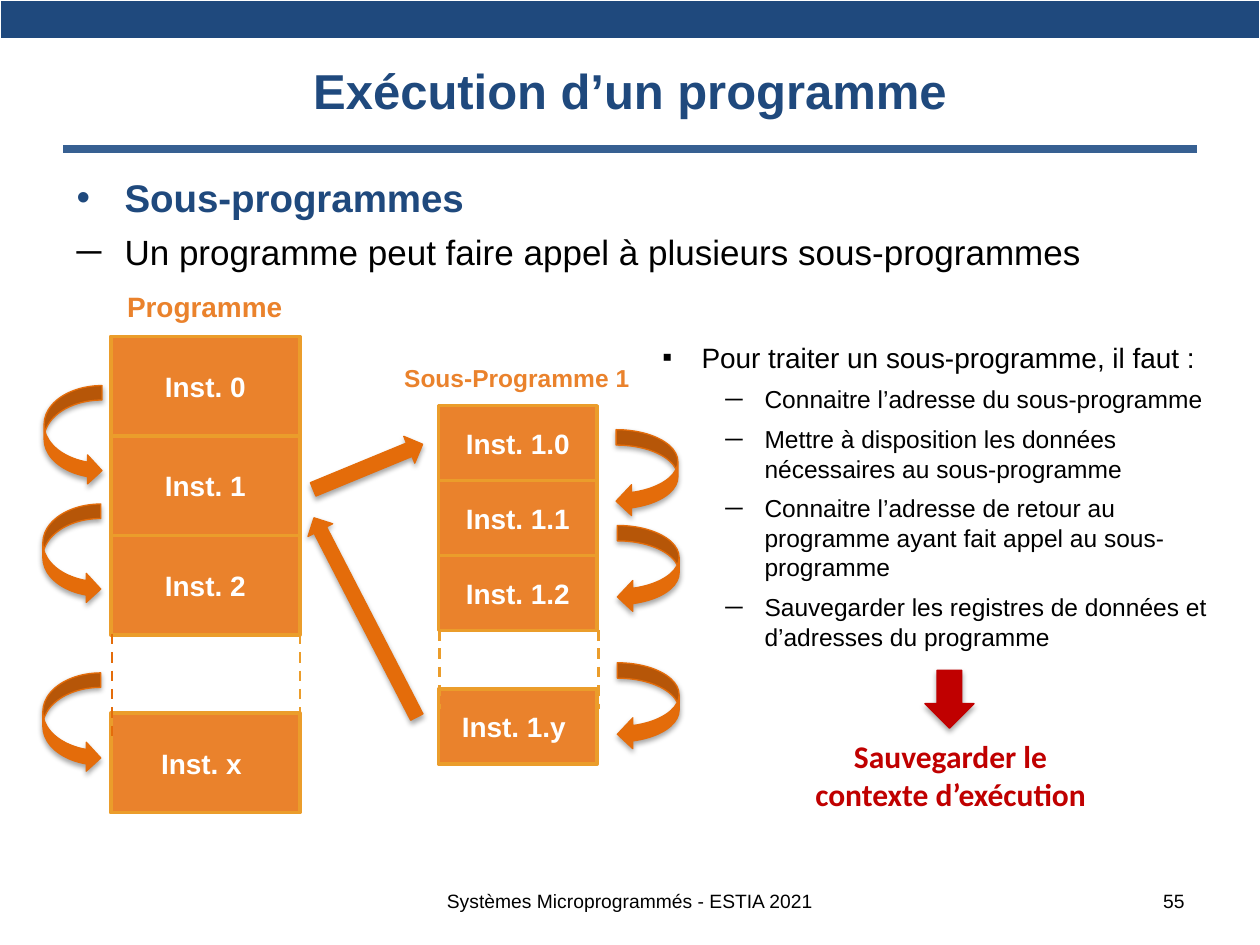
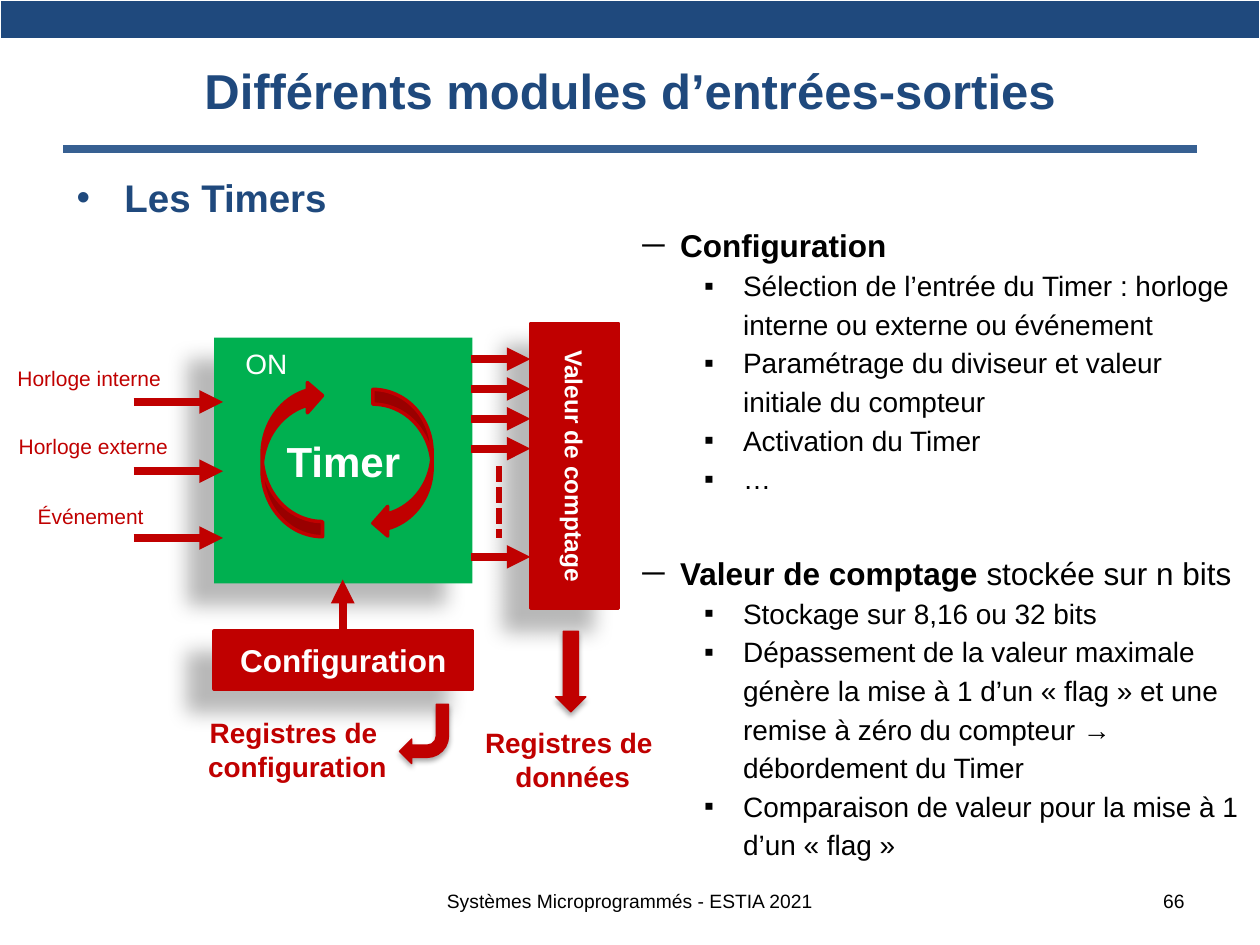
from dataclasses import dataclass

from lxml import etree
from pptx import Presentation
from pptx.dml.color import RGBColor
from pptx.enum.dml import MSO_LINE
from pptx.enum.shapes import MSO_CONNECTOR, MSO_SHAPE
from pptx.enum.text import MSO_ANCHOR, PP_ALIGN
from pptx.oxml.ns import qn
from pptx.util import Inches, Pt

LEFT, CENTER, RIGHT = PP_ALIGN.LEFT, PP_ALIGN.CENTER, PP_ALIGN.RIGHT
TOP, MIDDLE = MSO_ANCHOR.TOP, MSO_ANCHOR.MIDDLE
RECTANGLE = MSO_SHAPE.RECTANGLE
RIGHT_ARROW, DOWN_ARROW = MSO_SHAPE.RIGHT_ARROW, MSO_SHAPE.DOWN_ARROW
BENT_ARROW = MSO_SHAPE.BENT_ARROW
CURVED_RIGHT, CURVED_LEFT = MSO_SHAPE.CURVED_RIGHT_ARROW, MSO_SHAPE.CURVED_LEFT_ARROW
STRAIGHT = MSO_CONNECTOR.STRAIGHT
DASH, SHORT_DASH = MSO_LINE.DASH, MSO_LINE.SQUARE_DOT

COLUMNS, ROWS = 100, 75


@dataclass(frozen=True)
class Theme:
    """Colours, fonts, type sizes and shadows of the deck."""
    navy: str = "1F497D"
    rule: str = "376092"
    black: str = "000000"
    white: str = "FFFFFF"
    orange: str = "EA822C"
    amber: str = "EB9D2B"
    flame: str = "E46C0A"
    red: str = "C00000"
    green: str = "00B050"
    font: str = "Arial"
    accent_font: str = "Calibri"
    title: int = 28
    heading: int = 22
    timer: int = 24
    lead: int = 20
    large: int = 18
    body: int = 16
    small: int = 14
    tiny: int = 12
    footer: int = 11
    soft_shadow: tuple = (35, 3.1, 1.8, 90)
    deep_shadow: tuple = (28, 11.8, 19.7, 141)


@dataclass(frozen=True)
class Bullet:
    """Marker, indent in columns and type of a list level."""
    mark: str
    left: float
    hang: float
    size: int
    bold: bool = False
    colour: str = Theme.black
    before: float = 6


THEME = Theme()
HEADING = Bullet("•", 3.8, 3.8, THEME.heading, True, THEME.navy)
LEAD = Bullet("─", 3.8, 3.8, THEME.lead)
NEED = Bullet("▪", 3.1, 3.1, THEME.body)
STEP = Bullet("─", 8.1, 3.1, THEME.small)
TOPIC = Bullet("─", 3, 3.1, THEME.large, True)
NEXT_TOPIC = Bullet("─", 3, 3.1, THEME.large, True, before=30)
DETAIL = Bullet("▪", 8, 3.1, THEME.body, before=0)


class Painter:
    """Draws themed elements on the current slide, in grid columns and rows."""

    def __init__(self, deck, theme):
        self.deck, self.theme, self.page = deck, theme, None
        self.column = deck.slide_width / COLUMNS
        self.row = deck.slide_height / ROWS

    def place(self, left, top, width, height):
        """Turn grid units into slide lengths."""
        return (round(left * self.column), round(top * self.row),
                round(width * self.column), round(height * self.row))

    def start(self, title, number):
        """Open a slide with its band, title, rule and footer."""
        theme = self.theme
        self.page = self.deck.slides.add_slide(self.deck.slide_layouts[6])
        self.line((5, 11.8), (95, 11.8), theme.rule, 4.5)
        self.band()
        self.text((5, 1.7, 90, 10.8), [title], theme.title, theme.navy, True, CENTER, MIDDLE)
        self.text((28.3, 69.5, 43.4, 4), ["Systèmes Microprogrammés - ESTIA 2021"],
                  theme.footer, theme.black, align=CENTER, anchor=MIDDLE)
        self.text((71.7, 69.5, 23.3, 4), [str(number)],
                  theme.footer, theme.black, align=RIGHT, anchor=MIDDLE)

    def band(self):
        """Draw the one-cell table along the top edge."""
        cell = self.page.shapes.add_table(1, 1, *self.place(0, 0, COLUMNS, 3.1)).table.cell(0, 0)
        cell.fill.solid()
        cell.fill.fore_color.rgb = RGBColor.from_string(self.theme.navy)
        cell.text_frame.paragraphs[0].font.size = Pt(8)

    def style(self, font, size, colour, bold=False, name=None):
        """Apply type settings to a font."""
        font.name, font.size, font.bold = name or self.theme.font, Pt(size), bold
        font.color.rgb = RGBColor.from_string(colour)

    def fill_frame(self, frame, lines, size, colour, bold, align, name=None):
        """Fill a text frame with one paragraph for each line."""
        for index, line in enumerate(lines):
            para = frame.paragraphs[0] if index == 0 else frame.add_paragraph()
            para.add_run().text = line
            para.alignment = align
            self.style(para.font, size, colour, bold, name)

    def text(self, area, lines, size, colour, bold=False, align=LEFT, anchor=TOP,
             wrap=True, name=None):
        """Add a plain text box."""
        frame = self.page.shapes.add_textbox(*self.place(*area)).text_frame
        frame.word_wrap, frame.vertical_anchor = wrap, anchor
        self.fill_frame(frame, lines, size, colour, bold, align, name)

    def label(self, area, lines, size, colour, align=LEFT, name=None):
        """Add a bold caption that does not wrap."""
        self.text(area, lines, size, colour, True, align, wrap=False, name=name)

    def bullets(self, area, points, spacing=1.0):
        """Add a bulleted list of (level, text, optional plain ending)."""
        frame = self.page.shapes.add_textbox(*self.place(*area)).text_frame
        frame.word_wrap = True
        for index, (level, words, *endings) in enumerate(points):
            para = frame.paragraphs[0] if index == 0 else frame.add_paragraph()
            props = para._p.get_or_add_pPr()
            props.set("marL", str(round(level.left * self.column)))
            props.set("indent", str(round(-level.hang * self.column)))
            tint = etree.SubElement(props, qn("a:buClr"))
            etree.SubElement(tint, qn("a:srgbClr"), val=level.colour)
            etree.SubElement(props, qn("a:buFont"), typeface=self.theme.font)
            etree.SubElement(props, qn("a:buChar"), char=level.mark)
            para.line_spacing = spacing
            para.space_before = Pt(level.before if index else 0)
            self.style(para.font, level.size, level.colour, level.bold)
            para.add_run().text = words
            for ending in endings:
                span = para.add_run()
                span.text, span.font.bold = ending, False

    def shape(self, kind, area, fill, line=None, weight=0.75, turn=0, flip="", shadow=None):
        """Add a filled preset shape."""
        box = self.page.shapes.add_shape(kind, *self.place(*area))
        box.rotation = turn
        box.shadow.inherit = False
        box.fill.solid()
        box.fill.fore_color.rgb = RGBColor.from_string(fill)
        if line:
            box.line.color.rgb = RGBColor.from_string(line)
            box.line.width = Pt(weight)
        else:
            box.line.fill.background()
        for axis in flip:
            box.element.spPr.get_or_add_xfrm().set("flip" + axis, "1")
        if shadow:
            self.cast(box, *shadow)
        return box

    def cast(self, box, opacity, blur, distance, angle):
        """Give a shape an outer shadow."""
        effects = box.element.spPr.find(qn("a:effectLst"))
        outer = etree.SubElement(effects, qn("a:outerShdw"), blurRad=str(int(Pt(blur))),
                                 dist=str(int(Pt(distance))), dir=str(angle * 60000),
                                 algn="ctr", rotWithShape="0")
        tint = etree.SubElement(outer, qn("a:srgbClr"), val=self.theme.black)
        etree.SubElement(tint, qn("a:alpha"), val=str(opacity * 1000))

    def block(self, area, words, size, fill, line=None, turn=0, shadow=None):
        """Add a rectangle with a bold white caption."""
        box = self.shape(RECTANGLE, area, fill, line, 2, turn, shadow=shadow)
        box.text_frame.vertical_anchor = MIDDLE
        self.fill_frame(box.text_frame, [words], size, self.theme.white, True, CENTER)

    def arrow(self, kind, area, colour, turn=0, flip=""):
        """Add a block arrow with a soft shadow."""
        self.shape(kind, area, colour, colour, turn=turn, flip=flip,
                   shadow=self.theme.soft_shadow)

    def line(self, start, end, colour, weight, dash=None, head=False):
        """Add a straight connector, dashed or with an arrowhead on demand."""
        ends = self.place(*start, *end)
        link = self.page.shapes.add_connector(STRAIGHT, *ends)
        link.line.color.rgb = RGBColor.from_string(colour)
        link.line.width = Pt(weight)
        if dash:
            link.line.dash_style = dash
        if head:
            outline = link.element.spPr.find(qn("a:ln"))
            etree.SubElement(outline, qn("a:tailEnd"), type="triangle")
        etree.SubElement(link.element.spPr, qn("a:effectLst"))

    def instructions(self, left, top, width, height, names, last_top):
        """Stack instruction blocks, the last one set apart."""
        tops = [top + index * height for index in range(len(names) - 1)] + [last_top]
        for name, block_top in zip(names, tops):
            self.block((left, block_top, width, height), name, self.theme.body,
                       self.theme.orange, self.theme.amber)


def draw_execution(painter):
    """Slide on subprogram calls."""
    theme = painter.theme
    painter.start("Exécution d’un programme", 55)
    painter.instructions(8.8, 26.7, 15, 7.9, ["Inst. 0", "Inst. 1", "Inst. 2", "Inst. x "], 56.6)
    painter.instructions(34.8, 32.2, 12.6, 5.95,
                         ["Inst. 1.0", "Inst. 1.1", "Inst. 1.2", "Inst. 1.y "], 54.7)
    for left, top, bottom, colour in ((8.9, 50.3, 58.8, theme.flame),
                                      (23.8, 50.3, 58.8, theme.amber),
                                      (34.9, 50, 56.3, theme.amber),
                                      (47.5, 50, 56.3, theme.amber)):
        painter.line((left, top), (left, bottom), colour, 1.5, DASH)
    painter.label((9.1, 22.5, 14.5, 3.7), ["Programme"], theme.body, theme.orange)
    painter.label((31.1, 28.3, 20, 3.4), ["Sous-Programme 1"], theme.small, theme.orange)
    for left, top in ((3.5, 30.6), (3.4, 40), (3.4, 53.4)):
        painter.arrow(CURVED_RIGHT, (left, top, 4.6, 7.9), theme.flame)
    for left, top in ((48.9, 34.1), (49, 41.7), (49, 52.6)):
        painter.arrow(CURVED_RIGHT, (left, top, 4.9, 6.9), theme.flame, flip="H")
    painter.arrow(RIGHT_ARROW, (24.5, 35.9, 9.4, 2.3), theme.flame, 337.6)
    painter.arrow(RIGHT_ARROW, (20.1, 47.9, 17.8, 2.2), theme.flame, 242.7)
    painter.bullets((51.6, 26.5, 47.6, 26.8), [
        (NEED, "Pour traiter un sous-programme, il faut :"),
        (STEP, "Connaitre l’adresse du sous-programme"),
        (STEP, "Mettre à disposition les données nécessaires au sous-programme"),
        (STEP, "Connaitre l’adresse de retour au programme ayant fait appel au sous-programme"),
        (STEP, "Sauvegarder les registres de données et d’adresses du programme"),
    ])
    painter.arrow(DOWN_ARROW, (73.4, 53.2, 3.9, 4.6), theme.red)
    painter.label((63.6, 58, 23.7, 7.1), ["Sauvegarder le", "contexte d’exécution"],
                  theme.large, theme.red, CENTER, theme.accent_font)
    painter.bullets((5.1, 13.3, 89.9, 8.9), [
        (HEADING, "Sous-programmes"),
        (LEAD, "Un programme peut faire appel à plusieurs sous-programmes"),
    ])


def draw_timers(painter):
    """Slide on the timer module."""
    theme = painter.theme
    red = theme.red
    painter.start("Différents modules d’entrées-sorties", 66)
    painter.bullets((5.1, 13.3, 90.6, 11.5), [(HEADING, "Les Timers")])
    painter.block((17, 26.8, 20.5, 19.5), "Timer", theme.timer, theme.green,
                  shadow=theme.deep_shadow)
    painter.bullets((50, 17, 49.6, 52), [
        (TOPIC, "Configuration"),
        (DETAIL, "Sélection de l’entrée du Timer : horloge interne ou externe ou événement"),
        (DETAIL, "Paramétrage du diviseur et valeur initiale du compteur"),
        (DETAIL, "Activation du Timer"),
        (DETAIL, "…"),
        (NEXT_TOPIC, "Valeur de comptage ", "stockée sur n bits"),
        (DETAIL, "Stockage sur 8,16 ou 32 bits"),
        (DETAIL, "Dépassement de la valeur maximale génère la mise à 1 d’un « flag » "
                 "et une remise à zéro du compteur → débordement du Timer"),
        (DETAIL, "Comparaison de valeur pour la mise à 1 d’un « flag »"),
    ], 1.15)
    painter.block((17, 50.1, 20.5, 4.6), "Configuration", theme.large, red, red,
                  shadow=theme.deep_shadow)
    painter.block((34.3, 33.5, 22.6, 7), "Valeur de comptage", theme.small, red, red, 90,
                  theme.deep_shadow)
    for top in [28.5 + 2.37 * index for index in range(4)] + [44.2]:
        painter.line((37.4, top), (42.1, top), red, 4.5, head=True)
    painter.line((39.6, 37), (39.6, 42.7), red, 3, SHORT_DASH)
    painter.line((27.2, 50.8), (27.2, 46), red, 4.5, head=True)
    painter.shape(CURVED_LEFT, (29.6, 30.9, 4.7, 11.8), red, red, 2)
    painter.shape(CURVED_LEFT, (20.8, 30.2, 4.8, 12.4), red, red, 2, flip="HV")
    painter.text((18.5, 27, 5.4, 3.7), ["ON"], theme.body, theme.white, wrap=False)
    for words, left, top, width, arrow_top in (("Horloge interne", 0.4, 28.5, 17.1, 31.9),
                                               ("Horloge externe", 0.5, 33.9, 15.6, 37.4),
                                               ("Événement", 2, 39.5, 10.7, 42.7)):
        painter.text((left, top, width, 3), [words], theme.tiny, red)
        painter.line((10.6, arrow_top), (17.7, arrow_top), red, 4.5, head=True)
    painter.arrow(RIGHT_ARROW, (42.1, 52.1, 6.4, 2.4), red, 90)
    painter.arrow(BENT_ARROW, (31.7, 55.9, 3.9, 4.7), red, 180)
    for area, subject in (((37.4, 57.1, 16.1, 6.4), "données"),
                          ((15.4, 56.3, 16.4, 6.4), "configuration")):
        painter.label(area, ["Registres de ", subject], theme.body, red, CENTER)


def main():
    """Build and save the deck."""
    deck = Presentation()
    deck.slide_width, deck.slide_height = Inches(10), Inches(7.5)
    painter = Painter(deck, THEME)
    draw_execution(painter)
    draw_timers(painter)
    deck.save("out.pptx")


if __name__ == "__main__":
    main()
